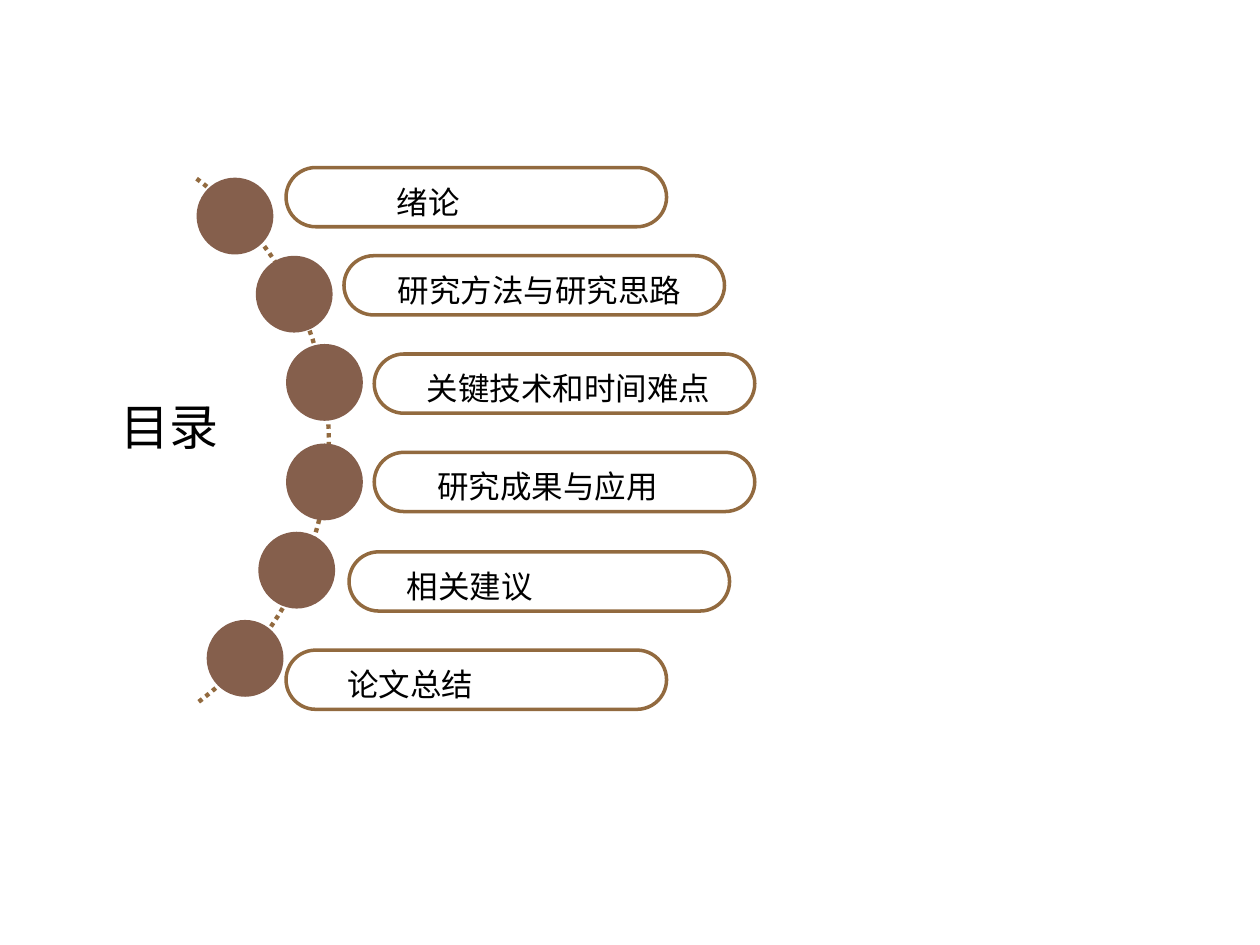
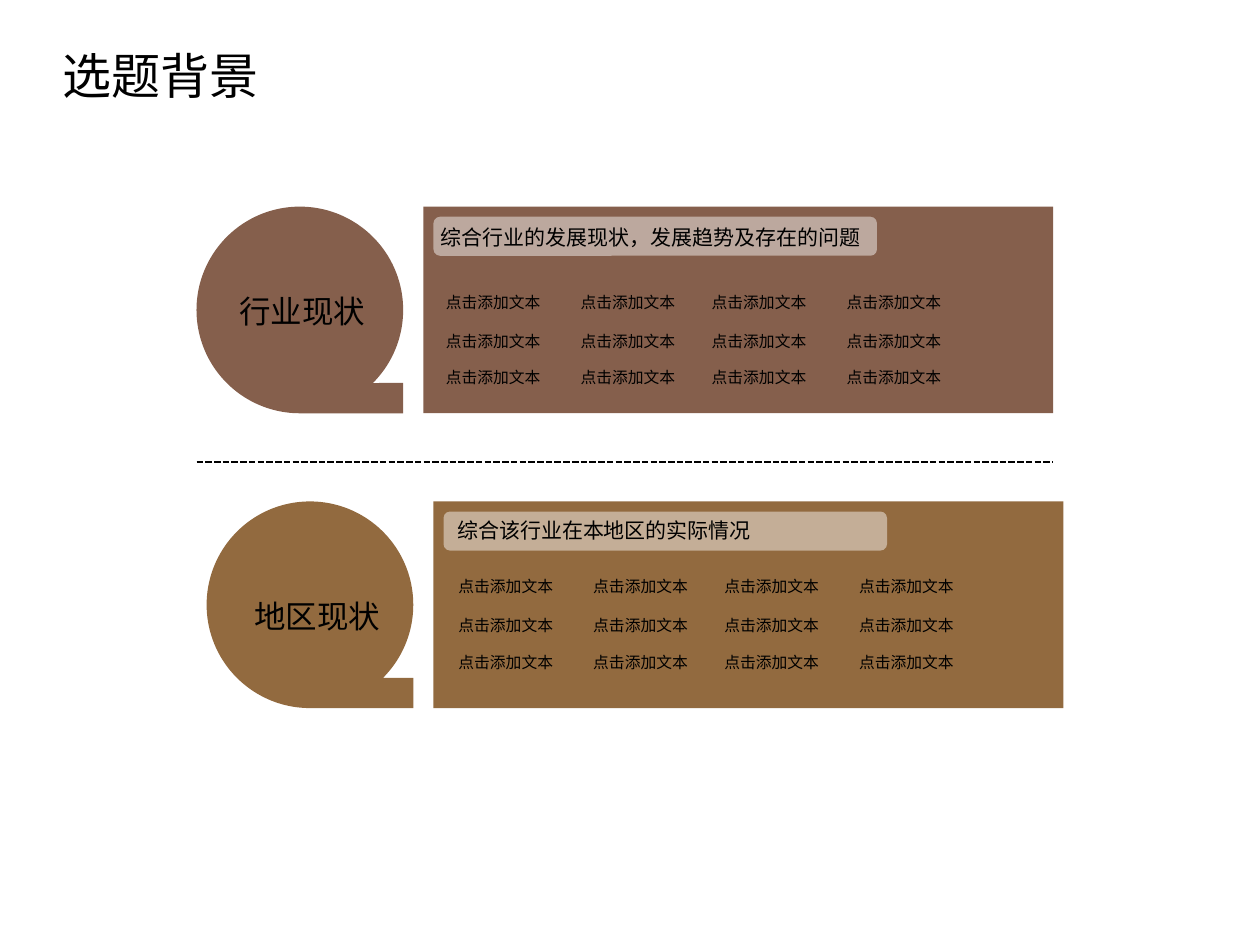
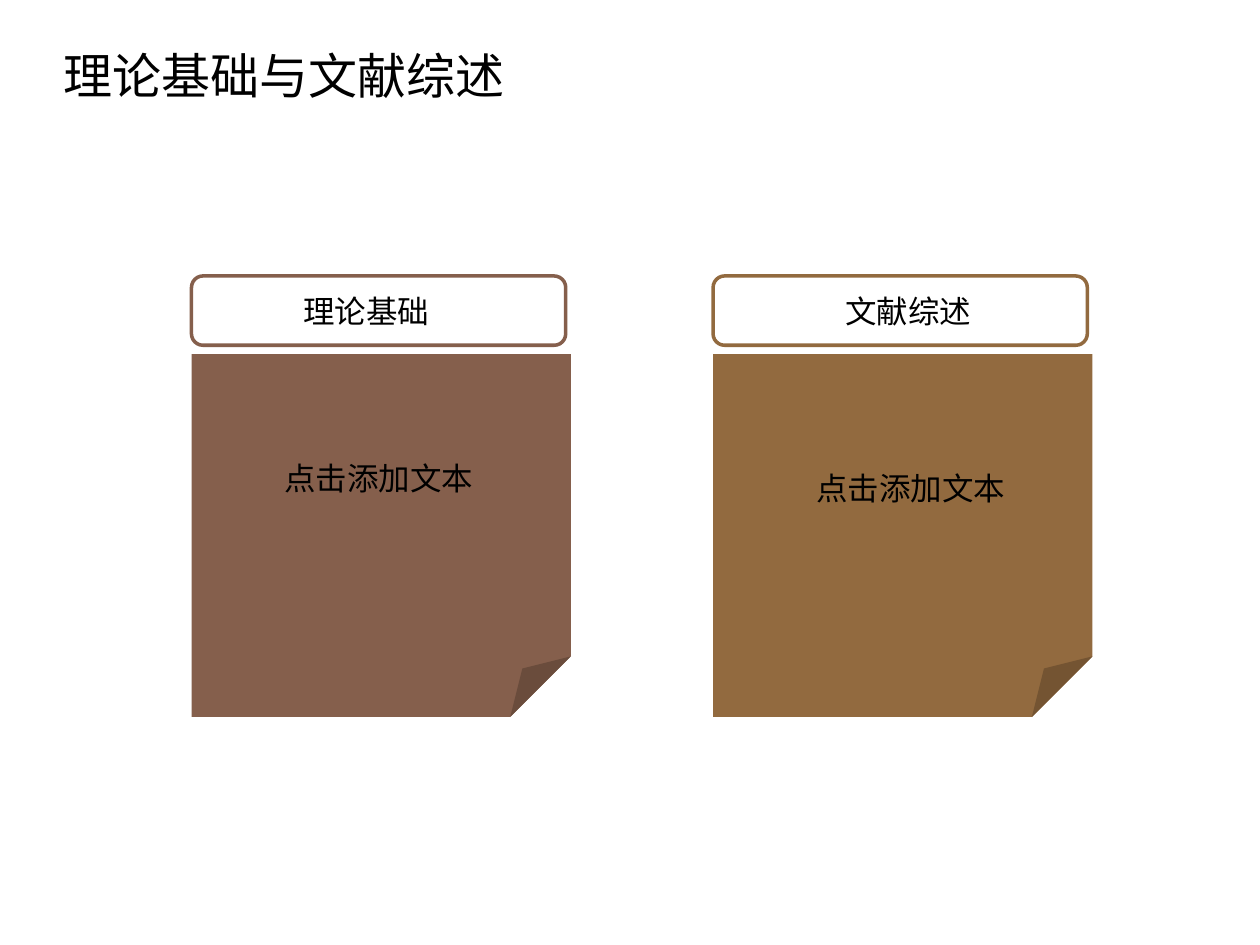
from dataclasses import dataclass
from math import cos, radians, sin
from typing import Optional

from lxml.etree import SubElement
from pptx import Presentation
from pptx.dml.color import RGBColor
from pptx.enum.dml import MSO_LINE
from pptx.enum.shapes import MSO_CONNECTOR, MSO_SHAPE
from pptx.enum.text import MSO_AUTO_SIZE
from pptx.oxml.ns import qn
from pptx.shapes.autoshape import Shape
from pptx.slide import Slide
from pptx.util import Inches, Pt

# Shared style
BROWN = RGBColor(0x85, 0x5F, 0x4C)
OCHRE = RGBColor(0x92, 0x6A, 0x3F)
WHITE = RGBColor(0xFF, 0xFF, 0xFF)
BLACK = RGBColor(0x00, 0x00, 0x00)
FONT = "Noto Sans CJK SC"
TITLE_SIZE, LABEL_SIZE, NOTE_SIZE, ITEM_SIZE = 28, 18, 12, 9
INSET = 0.1
LINE_HEIGHT = 1.22
PLACEHOLDER = "点击添加文本"

# Contents slide
DOT_SIZE = 0.61
PILL_WIDTH, PILL_HEIGHT = 3.02, 0.47
ARC_CENTER = (0.02, 3.5)
ARC_RADIUS = 2.59
ARC_HALF_ANGLE = 53.5
ARC_STEPS = 100

# Background slide
PANEL_WIDTH, PANEL_HEIGHT = 5.0, 1.64
TAPE_OFFSET = -1.8
NOTE_OFFSET = 0.08
ITEM_COLUMNS = (0, 1.07, 2.11, 3.18)
ITEM_ROWS = (0, 0.31, 0.6)


@dataclass(frozen=True)
class Chapter:
    text: str
    dot: tuple[float, float]
    pill: tuple[float, float]
    text_left: float


@dataclass(frozen=True)
class Situation:
    label: str
    note: str
    color: RGBColor
    panel: tuple[float, float]
    label_at: tuple[float, float]
    note_at: tuple[float, float]
    items_at: tuple[float, float]


@dataclass(frozen=True)
class Sheet:
    heading: str
    color: RGBColor
    left: float
    heading_left: float
    body_at: tuple[float, float]


CHAPTERS = (
    Chapter("绪论", (1.56, 1.41), (2.27, 1.33), 3.05),
    Chapter("研究方法与研究思路", (2.03, 2.03), (2.73, 2.03), 3.06),
    Chapter("关键技术和时间难点", (2.27, 2.73), (2.97, 2.81), 3.29),
    Chapter("研究成果与应用", (2.27, 3.52), (2.97, 3.59), 3.37),
    Chapter("相关建议", (2.05, 4.22), (2.77, 4.38), 3.13),
    Chapter("论文总结", (1.64, 4.92), (2.27, 5.16), 2.66),
)
SITUATIONS = (
    Situation("行业现状", "综合行业的发展现状，发展趋势及存在的问题", BROWN,
              (3.36, 1.64), (1.8, 2.27), (3.4, 1.73), (3.44, 2.27)),
    Situation("地区现状", "综合该行业在本地区的实际情况", OCHRE,
              (3.44, 3.98), (1.92, 4.69), (3.53, 4.06), (3.54, 4.53)),
)
SHEETS = (
    Sheet("理论基础", BROWN, 1.52, 2.31, (2.16, 3.59)),
    Sheet("文献综述", OCHRE, 5.66, 6.61, (6.38, 3.67)),
)


def add_text(page: Slide, text: str, left: float, top: float, size: int) -> None:
    """Add one line of text in a box that fits its full-width characters."""
    width = len(text) * size / 72 + 2 * INSET
    height = LINE_HEIGHT * size / 72 + INSET
    box = page.shapes.add_textbox(Inches(left), Inches(top), Inches(width), Inches(height))
    frame = box.text_frame
    frame.text = text
    frame.word_wrap = False
    frame.auto_size = MSO_AUTO_SIZE.SHAPE_TO_FIT_TEXT
    span = frame.paragraphs[0].runs[0]
    span.font.size = Pt(size)
    span.font.name = FONT
    span.font.color.rgb = BLACK
    SubElement(span.font._element, qn("a:ea"), typeface=FONT)


def add_block(page: Slide, kind: MSO_SHAPE, left: float, top: float, width: float,
              height: float, fill: Optional[RGBColor] = None,
              outline: Optional[RGBColor] = None) -> Shape:
    """Add a preset shape that is either filled or outlined."""
    block = page.shapes.add_shape(kind, Inches(left), Inches(top), Inches(width), Inches(height))
    block.shadow.inherit = False
    if fill is None:
        block.fill.background()
    else:
        block.fill.solid()
        block.fill.fore_color.rgb = fill
    if outline is None:
        block.line.fill.background()
    else:
        block.line.color.rgb = outline
        block.line.width = Pt(2)
    return block


def set_opacity(block: Shape, percent: int) -> None:
    color = block._element.spPr.find(qn("a:solidFill")).find(qn("a:srgbClr"))
    SubElement(color, qn("a:alpha"), val=str(percent * 1000))


def add_dotted_arc(page: Slide) -> None:
    """Draw the open arc that the contents dots sit on."""
    angles = [radians(ARC_HALF_ANGLE * (2 * step / ARC_STEPS - 1))
              for step in range(ARC_STEPS + 1)]
    points = [(Inches(ARC_CENTER[0] + ARC_RADIUS * cos(angle)),
               Inches(ARC_CENTER[1] + ARC_RADIUS * sin(angle))) for angle in angles]
    builder = page.shapes.build_freeform(*points[0])
    builder.add_line_segments(points[1:], close=False)
    arc = builder.convert_to_shape()
    arc.shadow.inherit = False
    arc.fill.background()
    arc.line.color.rgb = OCHRE
    arc.line.width = Pt(2.5)
    arc.line.dash_style = MSO_LINE.ROUND_DOT


def add_divider(page: Slide, left: float, right: float, top: float) -> None:
    divider = page.shapes.add_connector(
        MSO_CONNECTOR.STRAIGHT, Inches(left), Inches(top), Inches(right), Inches(top))
    divider.line.color.rgb = BLACK
    divider.line.width = Pt(1.25)
    divider.line.dash_style = MSO_LINE.SQUARE_DOT
    SubElement(divider._element.spPr, qn("a:effectLst"))


def build_contents(page: Slide) -> None:
    add_text(page, "目录", 0.86, 3.1, TITLE_SIZE)
    add_dotted_arc(page)
    for chapter in CHAPTERS:
        add_block(page, MSO_SHAPE.OVAL, *chapter.dot, DOT_SIZE, DOT_SIZE, fill=BROWN)
        pill = add_block(page, MSO_SHAPE.ROUNDED_RECTANGLE, *chapter.pill,
                         PILL_WIDTH, PILL_HEIGHT, outline=OCHRE)
        pill.adjustments[0] = 0.5
        add_text(page, chapter.text, chapter.text_left, chapter.pill[1] + 0.07, LABEL_SIZE)


def add_situation(page: Slide, situation: Situation) -> None:
    left, top = situation.panel
    add_block(page, MSO_SHAPE.RECTANGLE, left, top, PANEL_WIDTH, PANEL_HEIGHT,
              fill=situation.color)
    note_band = add_block(page, MSO_SHAPE.ROUNDED_RECTANGLE, left + NOTE_OFFSET,
                          top + NOTE_OFFSET, 3.52, 0.31, fill=WHITE)
    set_opacity(note_band, 46)
    add_block(page, MSO_SHAPE.FLOWCHART_SEQUENTIAL_ACCESS_STORAGE, left + TAPE_OFFSET, top,
              PANEL_HEIGHT, PANEL_HEIGHT, fill=situation.color)
    add_text(page, situation.label, *situation.label_at, LABEL_SIZE)
    add_text(page, situation.note, *situation.note_at, NOTE_SIZE)
    # Grid of short items
    items_left, items_top = situation.items_at
    for column in ITEM_COLUMNS:
        for row in ITEM_ROWS:
            add_text(page, PLACEHOLDER, items_left + column, items_top + row, ITEM_SIZE)


def build_background(page: Slide) -> None:
    add_text(page, "选题背景", 0.4, 0.31, TITLE_SIZE)
    for situation in SITUATIONS:
        add_situation(page, situation)
    add_divider(page, 1.56, 8.36, 3.67)


def build_theory(page: Slide) -> None:
    add_text(page, "理论基础与文献综述", 0.41, 0.31, TITLE_SIZE)
    for sheet in SHEETS:
        add_block(page, MSO_SHAPE.FOLDED_CORNER, sheet.left, 2.81, 3.01, 2.88,
                  fill=sheet.color)
        add_block(page, MSO_SHAPE.ROUNDED_RECTANGLE, sheet.left, 2.19, 2.97, 0.55,
                  outline=sheet.color)
        add_text(page, sheet.heading, sheet.heading_left, 2.27, LABEL_SIZE)
        add_text(page, PLACEHOLDER, *sheet.body_at, LABEL_SIZE)


def main() -> None:
    deck = Presentation()
    deck.slide_width = Inches(10)
    deck.slide_height = Inches(7.5)
    blank = deck.slide_layouts[6]
    for build in (build_contents, build_background, build_theory):
        build(deck.slides.add_slide(blank))
    deck.save("out.pptx")


if __name__ == "__main__":
    main()
